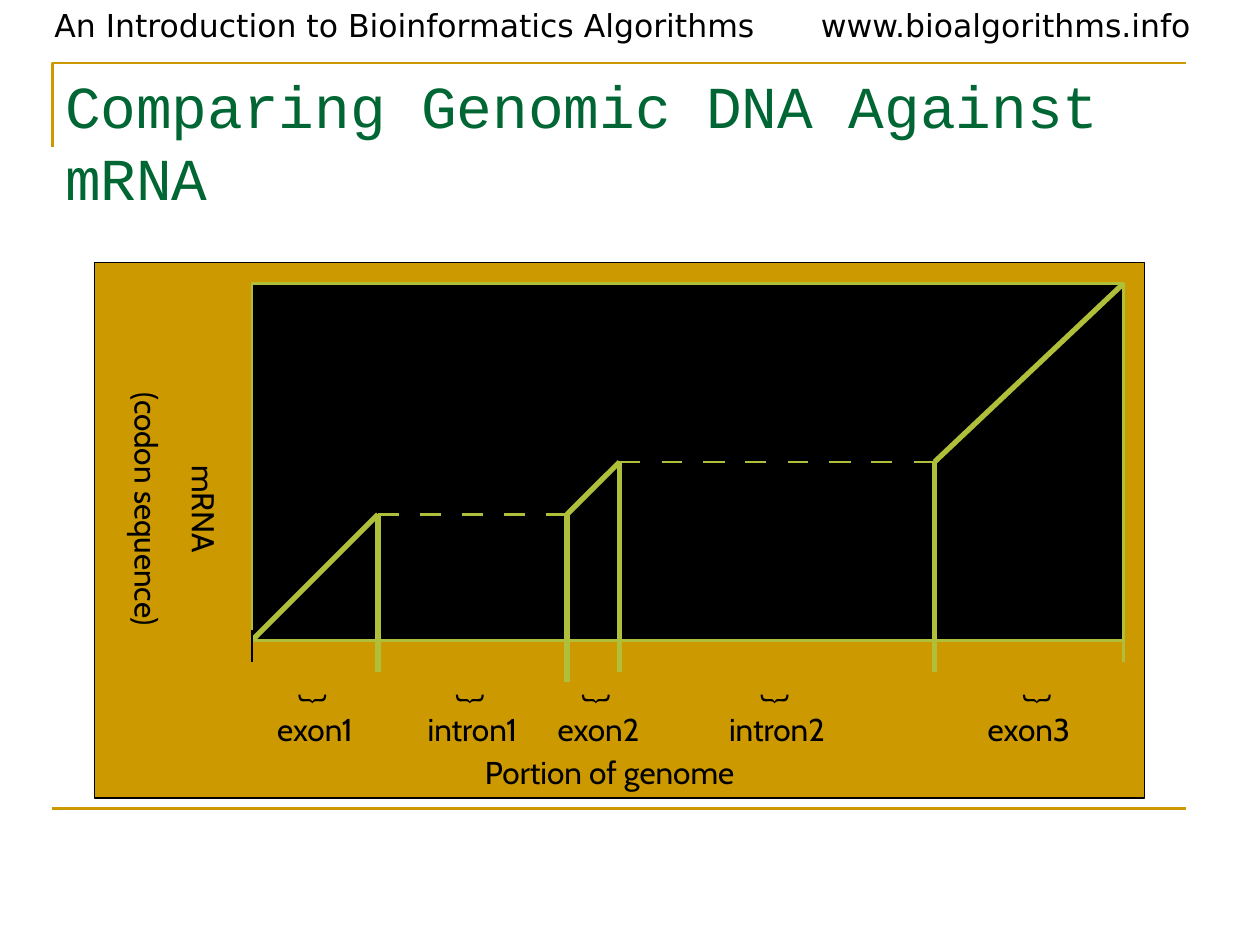
from dataclasses import dataclass
from pptx import Presentation
from pptx.dml.color import RGBColor as Rgb
from pptx.enum.shapes import MSO_CONNECTOR as Link, MSO_SHAPE as Form
from pptx.enum.text import MSO_ANCHOR as Anchor, MSO_AUTO_SIZE as Fit, PP_ALIGN as Align
from pptx.oxml import parse_xml as from_xml
from pptx.oxml.ns import nsdecls
from pptx.util import Pt


@dataclass(frozen=True)
class Theme:
    gold: Rgb = Rgb(0xCC, 0x99, 0x00)
    green: Rgb = Rgb(0x00, 0x66, 0x33)
    lime: Rgb = Rgb(0xAF, 0xBF, 0x39)
    black: Rgb = Rgb(0, 0, 0)
    body: float = 18
    head: float = 34
    gap: float = 11.2
    thin: float = 0.75
    rule: float = 1.5
    thick: float = 3
    label: str = "Cabin"
    banner: str = "DejaVu Sans"
    title: str = "Courier New"


THEME = Theme()


def add_run(para, text, font, size, color):
    run = para.add_run()
    run.text = text
    run.font.name = font
    run.font.size = Pt(size)
    run.font.color.rgb = color


def add_text(slide, box, lines, font=THEME.label, align=Align.LEFT, turn=0):
    shape = slide.shapes.add_textbox(*map(Pt, box))
    shape.rotation = turn
    frame = shape.text_frame
    frame.word_wrap = True
    for i, line in enumerate(lines):
        para = frame.add_paragraph() if i else frame.paragraphs[0]
        para.alignment = align
        para.space_before = Pt(THEME.gap)
        add_run(para, line, font, THEME.body, THEME.black)


def add_line(slide, start, end, color=THEME.lime, width=THEME.rule):
    line = slide.shapes.add_connector(Link.STRAIGHT, *map(Pt, (*start, *end)))
    line.line.color.rgb = color
    line.line.width = Pt(width)
    line._element.spPr.append(from_xml(f"<a:effectLst {nsdecls('a')}/>"))


def add_rect(slide, box, fill, color, width):
    rect = slide.shapes.add_shape(Form.RECTANGLE, *map(Pt, box))
    rect.shadow.inherit = False
    rect.fill.solid()
    rect.fill.fore_color.rgb = fill
    rect.line.color.rgb = color
    rect.line.width = Pt(width)


def add_frame(slide, box):
    left, top, width, height = box
    pen = slide.shapes.build_freeform(Pt(left), Pt(top + 48))
    pen.add_line_segments(
        [(Pt(left), Pt(top)), (Pt(left + width), Pt(top))], close=False)
    edge = pen.convert_to_shape()
    edge.shadow.inherit = False
    edge.fill.background()
    edge.line.color.rgb = THEME.gold
    edge.line.width = Pt(THEME.rule)
    base = top + height
    add_line(slide, (left, base), (left + width, base), THEME.gold)


def add_banner(slide, box):
    left, top, width, height = box
    add_text(slide, (left, top, 436, height),
             ["An Introduction to Bioinformatics Algorithms"], THEME.banner)
    add_text(slide, (left + width - 241, top, 241, height),
             ["www.bioalgorithms.info"], THEME.banner)


def add_title(slide, box):
    title = slide.shapes.title
    title.left, title.top, title.width, title.height = map(Pt, box)
    frame = title.text_frame
    frame.word_wrap = True
    frame.auto_size = Fit.NONE
    frame.vertical_anchor = Anchor.TOP
    para = frame.paragraphs[0]
    para.alignment = Align.LEFT
    add_run(para, "Comparing Genomic DNA Against mRNA",
            THEME.title, THEME.head, THEME.green)


def add_plot(slide, box):
    left, top, width, height = box
    base = top + height
    add_rect(slide, box, THEME.black, THEME.lime, THEME.rule)

    def spot(x, y):
        return left + x, base - y

    for start, end, level in ((72, 180, 72), (210, 390, 102)):
        for x in range(start, end, 24):
            add_line(slide, spot(x, level), spot(x + 12, level))
    exons = (((0, 0), (72, 72)), ((180, 72), (210, 102)),
             ((390, 102), (width, height)))
    for start, end in exons:
        add_line(slide, spot(*start), spot(*end), width=THEME.thick)
    for x, y, tail in ((390, 102, 18), (72, 72, 18), (180, 72, 24), (210, 102, 18)):
        add_line(slide, spot(x, y), spot(x, -tail), width=THEME.thick)
    add_line(slide, spot(width, 6), spot(width, -12))
    add_line(slide, spot(0, 6), spot(0, -12), THEME.black, THEME.thin)


def add_panel(slide, box):
    left, top, width, height = box
    add_rect(slide, box, THEME.gold, THEME.black, THEME.thin)
    add_text(slide, (left + 216, top + 277, 162, 50.4), ["Portion of genome"])
    add_text(slide, (left - 46.8, top + 110, 186, 62),
             ["mRNA", "(codon sequence)"], align=Align.CENTER, turn=90)
    parts = (("exon1", 126, -3), ("intron1", 216, -3), ("exon2", 288, -3),
             ("intron2", 390, -3), ("exon3", 534, 3))
    for name, mid, shift in parts:
        add_text(slide, (left + mid - 54, top + 252, 108, 28.8),
                 [name], align=Align.CENTER)
        add_text(slide, (left + mid + shift - 12.6, top + 232.4, 25.2, 28.8),
                 ["{"], turn=270)
    add_plot(slide, (left + 90, top + 12, width - 102, height - 102))


def main():
    deck = Presentation()
    deck.slide_width, deck.slide_height = Pt(720), Pt(540)
    slide = deck.slides.add_slide(deck.slide_layouts[5])
    add_frame(slide, (30, 36, 648, 426))
    add_banner(slide, (24, 0, 679, 28.8))
    add_title(slide, (30, 36, 648, 90))
    add_panel(slide, (54, 150, 600, 306))
    deck.save("out.pptx")


if __name__ == "__main__":
    main()
